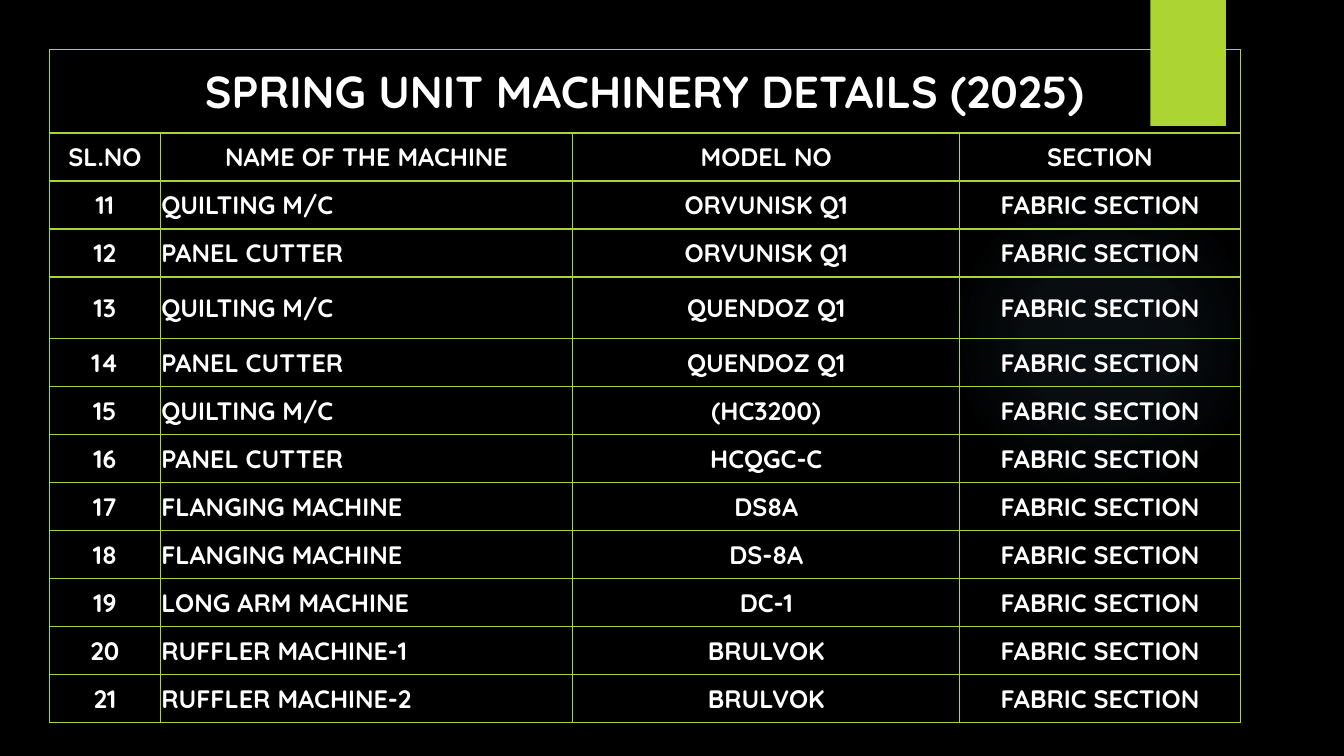
"""Build the spring unit machinery table slide."""
from lxml import etree
from pptx import Presentation, util as u
from pptx.dml.color import RGBColor
from pptx.enum import shapes, text
from pptx.oxml import parse_xml
from pptx.oxml.ns import nsdecls, qn

TITLE = "SPRING UNIT MACHINERY DETAILS (2025)"
HEADINGS = ("SL.NO", "NAME OF THE MACHINE", "MODEL NO", "SECTION")
SECTION = "FABRIC SECTION"
FIRST_NUMBER = 11
MACHINES = [
    ("QUILTING M/C", "ORVUNISK Q1"),
    ("PANEL CUTTER", "ORVUNISK Q1"),
    ("QUILTING M/C", "QUENDOZ Q1"),
    ("PANEL CUTTER", "QUENDOZ Q1"),
    ("QUILTING M/C", "(HC3200)"),
    ("PANEL CUTTER", "HCQGC-C"),
    ("FLANGING MACHINE", "DS8A"),
    ("FLANGING MACHINE", "DS-8A"),
    ("LONG ARM MACHINE", "DC-1"),
    ("RUFFLER MACHINE-1", "BRULVOK"),
    ("RUFFLER MACHINE-2", "BRULVOK"),
]
BLACK, WHITE, LIME, SKY = "000000", "FFFFFF", "ACD433", "7AC4F0"
GLOW_STOPS = ((0, 7), (36, 6), (69, 0))
SLIDE = (13.33, 7.5)
TABLE_BOX = (0.49, 0.49, 11.81, 6.68)
COLUMNS = (1.1, 4.09, 3.84, 2.78)
TITLE_HEIGHT, TALL_HEIGHT, TALL_ROW = 0.83, 0.61, 4
CELL_FORMAT = {
    "margin_left": u.Inches(0.01),
    "margin_right": u.Inches(0.01),
    "margin_top": u.Inches(0.01),
    "margin_bottom": 0,
    "vertical_anchor": text.MSO_ANCHOR.MIDDLE,
}


def color(value):
    return RGBColor.from_string(value)


def apply(target, values):
    for name, value in values.items():
        setattr(target, name, value)


def add_plain_shape(page, kind, box, fill):
    shape = page.shapes.add_shape(kind, *map(u.Inches, box))
    shape.shadow.inherit = False
    shape.fill.solid()
    shape.fill.fore_color.rgb = color(fill)
    shape.line.fill.background()
    return shape


def add_glow(page):
    glow = add_plain_shape(page, shapes.MSO_SHAPE.OVAL, (9.41, 1.83, 3.08, 3.08), SKY)
    stops = "".join(
        f'<a:gs pos="{place * 1000}"><a:srgbClr val="{SKY}">'
        f'<a:alpha val="{alpha * 1000}"/></a:srgbClr></a:gs>'
        for place, alpha in GLOW_STOPS
    )
    gradient = parse_xml(
        f'<a:gradFill {nsdecls("a")}><a:gsLst>{stops}</a:gsLst><a:path path="circle">'
        '<a:fillToRect l="50000" t="50000" r="50000" b="50000"/></a:path></a:gradFill>'
    )
    properties = glow.element.spPr
    properties.replace(properties.find(qn("a:solidFill")), gradient)


def add_tab(page):
    tab = add_plain_shape(page, shapes.MSO_SHAPE.RECTANGLE, (11.41, 0, 0.75, 1.25), LIME)
    tab.element.spPr.find(qn("a:effectLst")).append(parse_xml(
        f'<a:outerShdw {nsdecls("a")} blurRad="{u.Pt(3)}" dist="{u.Pt(2)}" dir="5400000">'
        f'<a:srgbClr val="{BLACK}"><a:alpha val="45000"/></a:srgbClr></a:outerShdw>'
    ))


def format_cell(cell, words, size, align):
    apply(cell, CELL_FORMAT)
    properties = cell._tc.get_or_add_tcPr()
    for side in "LRTB":
        line = etree.SubElement(properties, qn(f"a:ln{side}"), w=str(u.Pt(1)))
        fill = etree.SubElement(line, qn("a:solidFill"))
        etree.SubElement(fill, qn("a:srgbClr"), val=LIME)
    cell.fill.background()
    para = cell.text_frame.paragraphs[0]
    para.alignment = align
    if words:
        span = para.add_run()
        span.text = words
        apply(span.font, {"name": "Quicksand", "size": u.Pt(size), "bold": True})
        span.font.color.rgb = color(WHITE)


def add_machine_table(page):
    rows = [(TITLE, "", "", ""), HEADINGS]
    rows += [(str(number), name, model, SECTION)
             for number, (name, model) in enumerate(MACHINES, FIRST_NUMBER)]
    frame = page.shapes.add_table(len(rows), len(COLUMNS), *map(u.Inches, TABLE_BOX))
    table = frame.table
    apply(table, {"first_row": False, "horz_banding": False})
    for column, width in zip(table.columns, COLUMNS):
        column.width = u.Inches(width)
    special = {0: TITLE_HEIGHT, TALL_ROW: TALL_HEIGHT}
    regular = (TABLE_BOX[3] - sum(special.values())) / (len(rows) - len(special))
    for r, values in enumerate(rows):
        table.rows[r].height = u.Inches(special.get(r, regular))
        for c, words in enumerate(values):
            left = r > 1 and c == 1
            align = text.PP_ALIGN.LEFT if left else text.PP_ALIGN.CENTER
            format_cell(table.cell(r, c), words, 18 if r else 32, align)
    table.cell(0, 0).merge(table.cell(0, len(COLUMNS) - 1))


def main():
    deck = Presentation()
    deck.slide_width, deck.slide_height = map(u.Inches, SLIDE)
    page = deck.slides.add_slide(deck.slide_layouts[6])
    page.background.fill.solid()
    page.background.fill.fore_color.rgb = color(BLACK)
    add_glow(page)
    add_tab(page)
    add_machine_table(page)
    deck.save("out.pptx")


if __name__ == "__main__":
    main()
